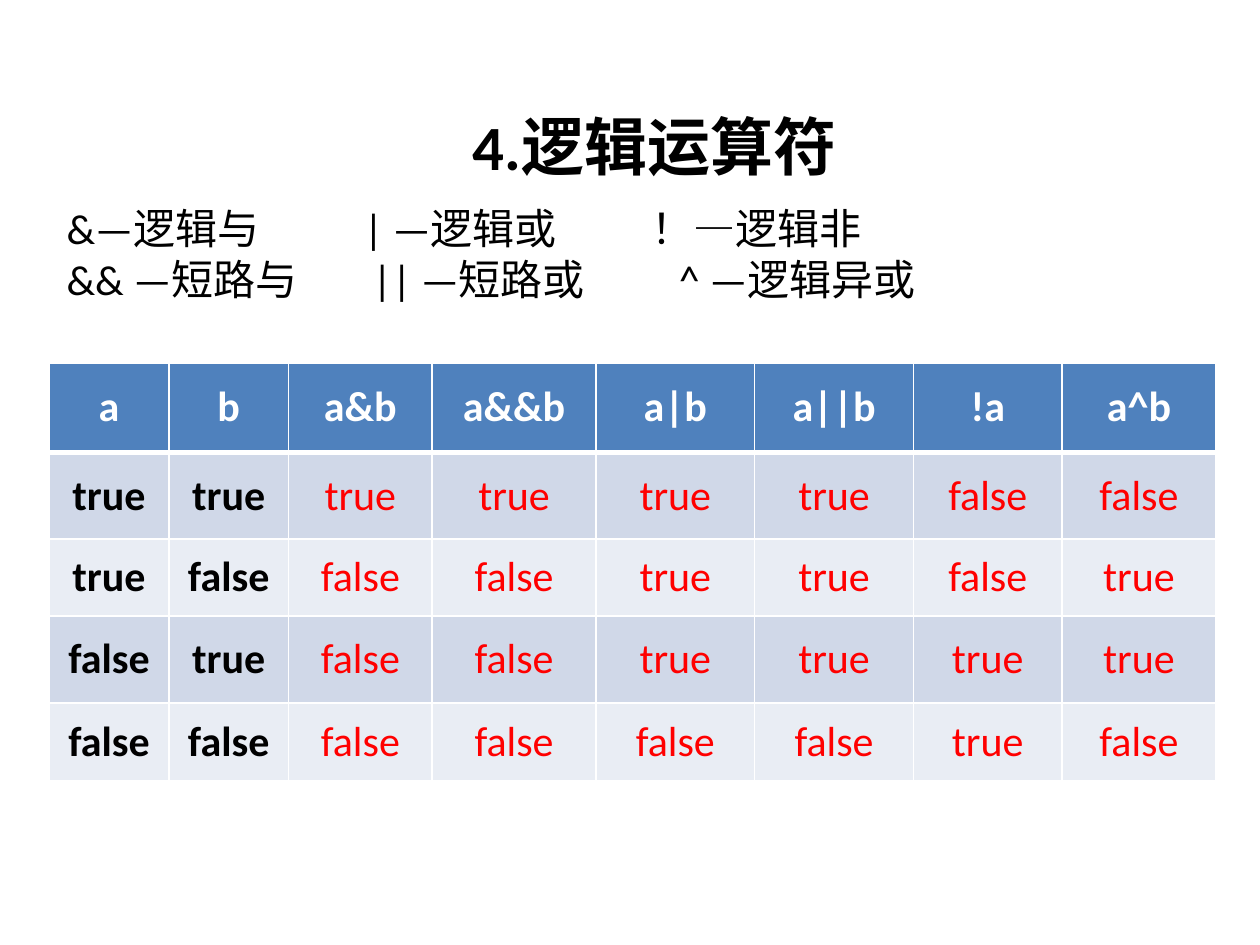
from itertools import product

from lxml.etree import SubElement
from pptx import Presentation
from pptx.dml.color import RGBColor
from pptx.enum.text import MSO_ANCHOR as Anchor, MSO_AUTO_SIZE as AutoSize, PP_ALIGN as Align
from pptx.oxml.ns import qn
from pptx.util import Inches, Pt

BLACK, WHITE, RED = "000000", "FFFFFF", "FF0000"
HEADER_FILL, BANDS = "4F81BD", ["D0D8E8", "E9EDF4"]


def write(frame, *lines, size=24, color=BLACK, bold=False, align=Align.LEFT, tabs=()):
    """Fill a text frame, one paragraph a line; tabs holds each line's stops in inches."""
    for i, line in enumerate(lines):
        paragraph = frame.paragraphs[0] if i == 0 else frame.add_paragraph()
        paragraph.text = line
        paragraph.alignment = align
        if tabs:
            stops = SubElement(paragraph._p.get_or_add_pPr(), qn("a:tabLst"))
            for stop in tabs[i]:
                SubElement(stops, qn("a:tab"), pos=str(Inches(stop)), algn="l")
        font = paragraph.font
        font.name, font.size, font.bold = "Calibri", Pt(size), bold
        font.color.rgb = RGBColor.from_string(color)


def format_cell(cell, fill, top=1, bottom=1):
    """Centre the cell vertically, with white borders and a plain fill."""
    cell.vertical_anchor = Anchor.MIDDLE
    properties = cell._tc.get_or_add_tcPr()
    for side, width in (("L", 1), ("R", 1), ("T", top), ("B", bottom)):
        border = SubElement(properties, qn(f"a:ln{side}"), w=str(Pt(width)))
        SubElement(SubElement(border, qn("a:solidFill")), qn("a:srgbClr"), val=WHITE)
    cell.fill.solid()
    cell.fill.fore_color.rgb = RGBColor.from_string(fill)


prs = Presentation()
prs.slide_width, prs.slide_height = Inches(10), Inches(7.5)
slide = prs.slides.add_slide(prs.slide_layouts[5])

title = slide.shapes.title
title.left, title.top, title.width, title.height = map(Inches, (3.03, 0.8, 4.33, 0.76))
title.text_frame.auto_size = AutoSize.NONE
title.text_frame.vertical_anchor = Anchor.TOP
write(title.text_frame, "4.逻辑运算符", size=36, bold=True, align=Align.CENTER)

operators = slide.shapes.add_textbox(*map(Inches, (0.43, 1.56, 8.98, 0.91))).text_frame
operators.word_wrap = True
write(operators,
      "&—逻辑与\t| —逻辑或\t！—逻辑非",
      "&& —短路与\t|| —短路或\t^ —逻辑异或",
      tabs=[(2.36, 4.64), (2.43, 4.86)])

# Each row of the truth table follows from its values of a and b
headings = ["a", "b", "a&b", "a&&b", "a|b", "a||b", "!a", "a^b"]
truth_rows = [[a, b, a and b, a and b, a or b, a or b, not a, a != b]
              for a, b in product([True, False], repeat=2)]
column_widths = [0.95, 0.95, 1.14, 1.3, 1.26, 1.26, 1.18, 1.22]
row_heights = [0.71, 0.69, 0.61, 0.69, 0.62]

truth_table = slide.shapes.add_table(
    len(row_heights), len(column_widths), Inches(0.39), Inches(2.88),
    Inches(sum(column_widths)), Inches(sum(row_heights))).table
for column, width in zip(truth_table.columns, column_widths):
    column.width = Inches(width)
for row, height in zip(truth_table.rows, row_heights):
    row.height = Inches(height)

for c, heading in enumerate(headings):
    cell = truth_table.cell(0, c)
    format_cell(cell, HEADER_FILL, bottom=3)
    write(cell.text_frame, heading, color=WHITE, bold=True, align=Align.CENTER)

for r, values in enumerate(truth_rows, start=1):
    for c, value in enumerate(values):
        cell = truth_table.cell(r, c)
        is_input = c < 2
        format_cell(cell, BANDS[(r - 1) % 2], top=3 if r == 1 else 1)
        write(cell.text_frame, str(value).lower(), color=BLACK if is_input else RED,
              bold=is_input, align=Align.CENTER)

prs.save("out.pptx")
